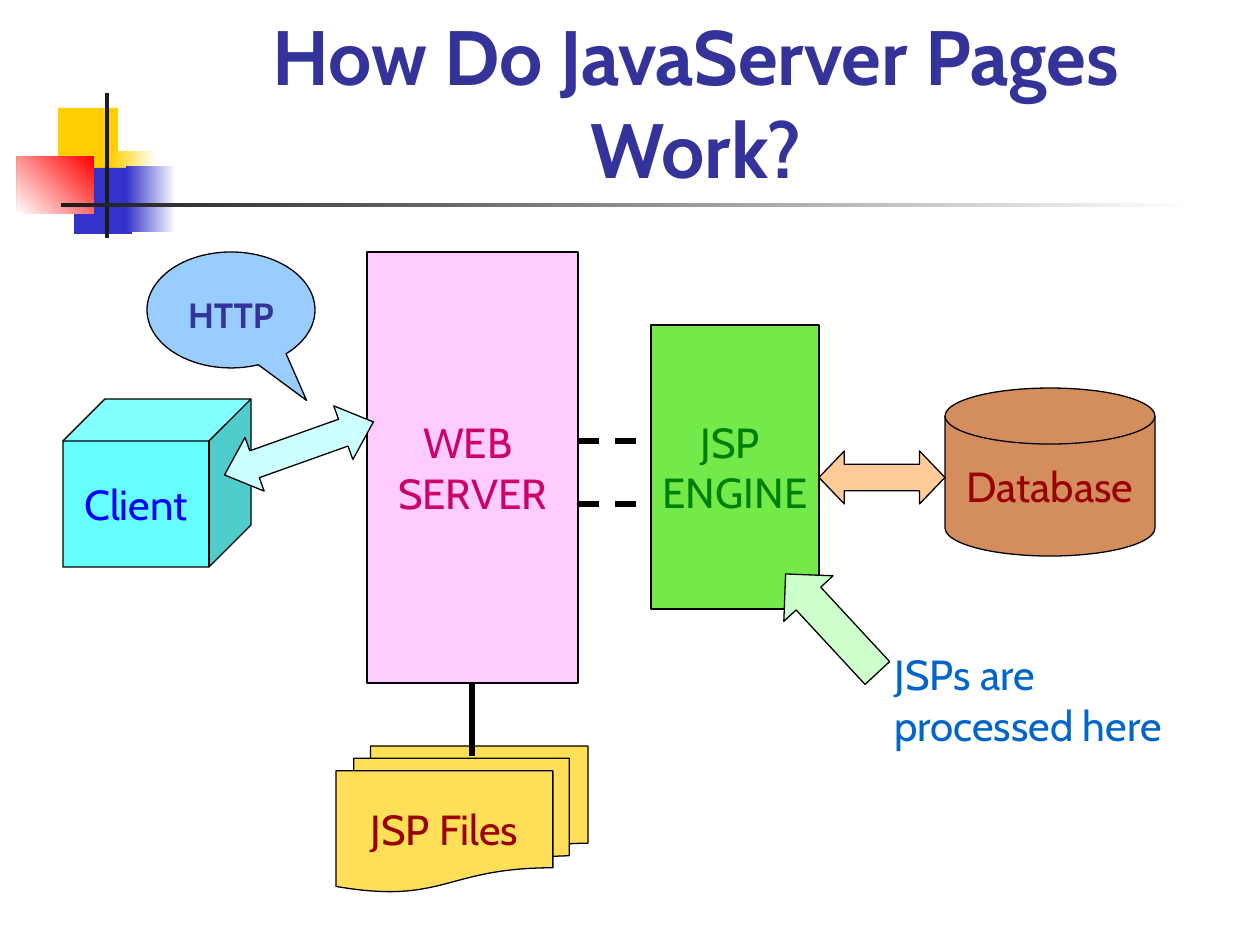
import pptx
import pptx.dml.color
import pptx.enum.dml
import pptx.enum.shapes
import pptx.enum.text
import pptx.oxml.ns
import pptx.util
import lxml.etree

SHAPE = pptx.enum.shapes.MSO_SHAPE
ALIGN = pptx.enum.text.PP_ALIGN
ANCHOR = pptx.enum.text.MSO_ANCHOR
PX = pptx.util.Inches(1) / 126


def color(value):
    return pptx.dml.color.RGBColor.from_string(value)


def write(shape, text, size=24, ink="000000", bold=False, align=ALIGN.CENTER,
          anchor=ANCHOR.MIDDLE, wrap=False, top=6):
    frame = shape.text_frame
    frame.auto_size = pptx.enum.text.MSO_AUTO_SIZE.NONE
    frame.word_wrap = wrap
    frame.vertical_anchor = anchor
    frame.margin_top = round(top * PX)
    frame.text = text
    for paragraph in frame.paragraphs:
        paragraph.alignment = align
        paragraph.font.name = "Cabin"
        paragraph.font.size = pptx.util.Pt(size)
        paragraph.font.bold = bold
        paragraph.font.color.rgb = color(ink)


presentation = pptx.Presentation()
presentation.slide_width = round(1260 * PX)
presentation.slide_height = round(945 * PX)
slide = presentation.slides.add_slide(presentation.slide_layouts[5])

# Corner ornament and title rule: box, colours (two make a gradient), angle
ornament = [
    ((58, 108, 60, 66), ["FFCF01"], 0),
    ((111, 151, 45, 66), ["FFFFFF", "FFCF01"], 180),
    ((74, 168, 58, 66), ["3333CC"], 0),
    ((126, 166, 50, 66), ["FFFFFF", "3333CC"], 180),
    ((17, 156, 77, 58), ["FF0000", "FFFFFF"], 225),
    ((105, 93, 4, 145), ["1C1C1C"], 0),
    ((61, 203, 1134, 4), ["FFFFFF", "1C1C1C"], 180),
]
for box, colors, angle in ornament:
    shape = slide.shapes.add_shape(SHAPE.RECTANGLE, *[round(v * PX) for v in box])
    shape.shadow.inherit = False
    shape.line.fill.background()
    if len(colors) == 1:
        shape.fill.solid()
        shape.fill.fore_color.rgb = color(colors[0])
    else:
        shape.fill.gradient()
        shape.fill.gradient_angle = angle
        for stop, value in zip(shape.fill.gradient_stops, colors):
            stop.color.rgb = color(value)

# Title
title = slide.shapes.title
title.left, title.top, title.width, title.height = [
    round(v * PX) for v in (159, 43, 1074, 157)]
write(title, "How Do JavaServer Pages Work?", size=44, ink="333399", bold=True,
      anchor=ANCHOR.BOTTOM, wrap=True)

# Connecting lines: server to files, then server to engine
for x1, y1, x2, y2, dashed in [(472, 683, 472, 756, False),
                               (578, 441, 651, 441, True),
                               (578, 504, 651, 504, True)]:
    connector = slide.shapes.add_connector(
        pptx.enum.shapes.MSO_CONNECTOR.STRAIGHT,
        *[round(v * PX) for v in (x1, y1, x2, y2)])
    connector.line.color.rgb = color("000000")
    connector.line.width = pptx.util.Pt(3)
    if dashed:
        connector.line.dash_style = pptx.enum.dml.MSO_LINE.DASH
    lxml.etree.SubElement(connector._element.spPr, pptx.oxml.ns.qn("a:effectLst"))
files_line = slide.shapes[-3]

# Components and arrows: kind, box, fill, adjustments, rotation, text format
parts = [
    (SHAPE.RECTANGLE, (367, 252, 211, 431), "FFCCFF", [], 0,
     dict(text="WEB \nSERVER", ink="CC0066")),
    (SHAPE.RECTANGLE, (651, 325, 168, 284), "74EA4A", [], 0,
     dict(text="JSP \nENGINE", ink="008000")),
    (SHAPE.FLOWCHART_MAGNETIC_DISK, (945, 388, 210, 168), "D48D5C", [], 0,
     dict(text="Database", ink="990000")),
    (SHAPE.CUBE, (63, 399, 188, 168), "66FFFF", [0.25], 0,
     dict(text="Client", ink="0000FF")),
    (SHAPE.FLOWCHART_MULTIDOCUMENT, (336, 746, 252, 146), "FFDF57", [], 0,
     dict(text="JSP Files", ink="990000")),
    (SHAPE.OVAL_CALLOUT, (147, 252, 168, 116), "99CCFF", [0.45, 0.78], 0,
     dict(text="HTTP", size=20, ink="333399", bold=True, anchor=ANCHOR.TOP,
          wrap=True, top=25)),
    (SHAPE.LEFT_RIGHT_ARROW, (819, 451, 126, 53), "FFCC99", [0.5, 0.48], 0, None),
    (SHAPE.RIGHT_ARROW, (764, 590, 135, 67), "CCFFCC", [0.5, 0.5], 227.2, None),
    (SHAPE.LEFT_RIGHT_ARROW, (220, 420, 158, 57), "CCFFFF", [0.5, 0.56], 340.4, None),
]
for kind, box, fill, adjustments, rotation, label in parts:
    shape = slide.shapes.add_shape(kind, *[round(v * PX) for v in box])
    shape.shadow.inherit = False
    shape.fill.solid()
    shape.fill.fore_color.rgb = color(fill)
    shape.line.color.rgb = color("000000")
    shape.line.width = pptx.util.Pt(0.75)
    shape.rotation = rotation
    for index, value in enumerate(adjustments):
        shape.adjustments[index] = value
    if label:
        write(shape, **label)
    if kind == SHAPE.FLOWCHART_MULTIDOCUMENT:
        # The line to the files lies over the stack
        shape._element.addnext(files_line._element)

# Note beside the engine
note = slide.shapes.add_textbox(*[round(v * PX) for v in (882, 643, 338, 113)])
write(note, "JSPs are processed here", ink="0066CC", align=ALIGN.LEFT,
      anchor=ANCHOR.TOP, wrap=True)

presentation.save("out.pptx")
